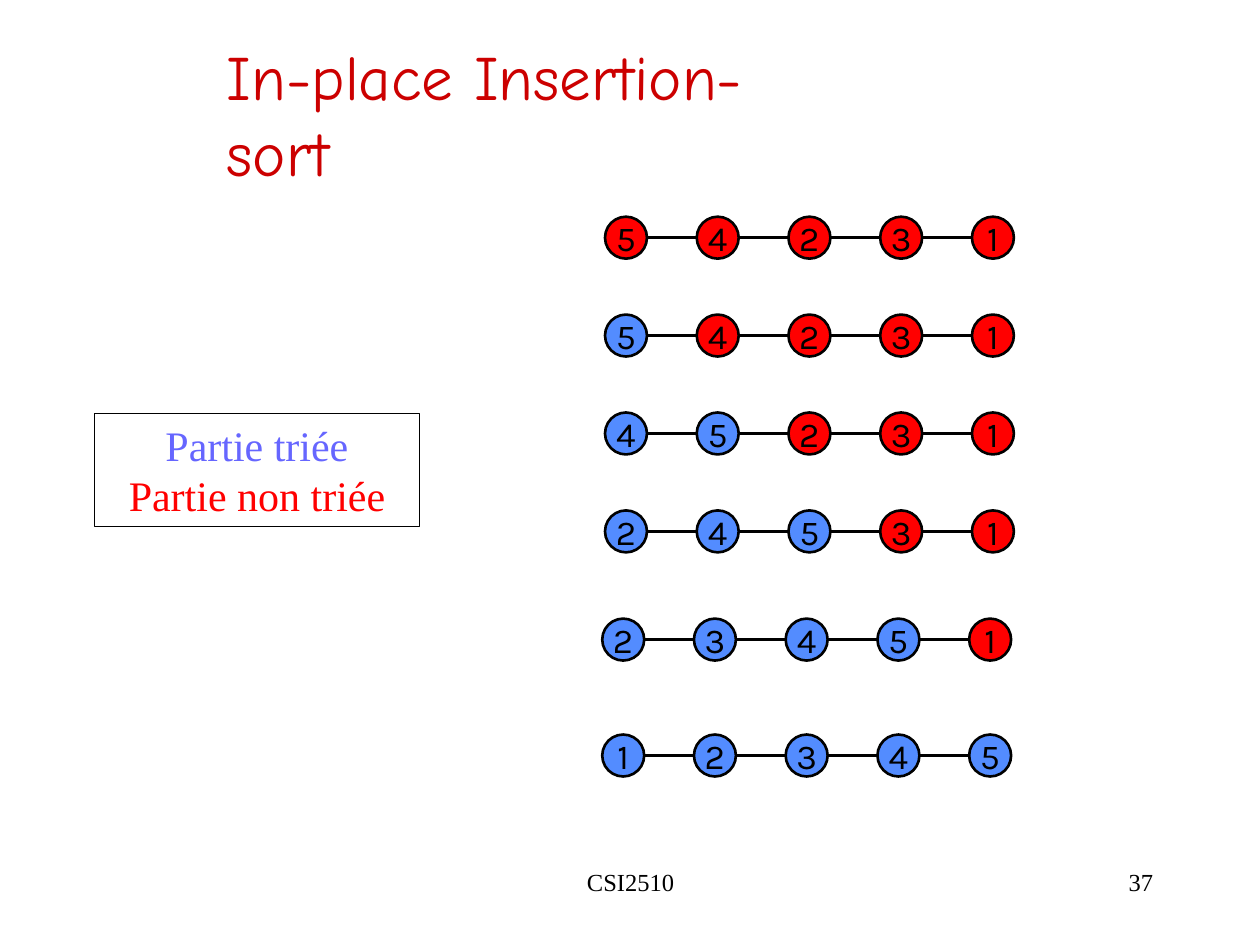
from dataclasses import dataclass

from lxml import etree
from pptx import Presentation
from pptx import util as u
from pptx.dml.color import RGBColor
from pptx.enum import shapes, text
from pptx.oxml.ns import qn
from pptx.shapes.autoshape import Shape

COLORS = {
    "black": "000000",
    "title": "CC0000",
    "unsorted": "FF0000",
    "sorted": "538CFF",
    "sorted_label": "6666FF",
}
COLUMNS, ROWS = 100, 75
NODE_SIZE = 3.33
NODE_PITCH = 7.28
VALUES = [5, 4, 2, 3, 1]

presentation = Presentation()
presentation.slide_width = u.Inches(10)
presentation.slide_height = u.Inches(7.5)
slide = presentation.slides.add_slide(presentation.slide_layouts[5])


@dataclass
class Box:
    column: float
    row: float
    columns: float
    rows: float

    def lengths(self) -> tuple[int, ...]:
        width = presentation.slide_width / COLUMNS
        height = presentation.slide_height / ROWS
        return (round(self.column * width), round(self.row * height),
                round(self.columns * width), round(self.rows * height))


@dataclass
class Label:
    words: str
    font: str
    size: int
    color: str = "black"
    alignment: text.PP_ALIGN = text.PP_ALIGN.CENTER


@dataclass
class Step:
    column: float
    row: float
    sorted_count: int

    def values(self) -> list[int]:
        count = self.sorted_count
        return sorted(VALUES[:count]) + VALUES[count:]


STEPS = [
    Step(48.02, 17.2, 0),
    Step(48.02, 24.97, 1),
    Step(48.02, 32.74, 2),
    Step(48.02, 40.51, 3),
    Step(47.8, 49.1, 4),
    Step(47.8, 58.3, 5),
]


def color(name: str) -> RGBColor:
    return RGBColor.from_string(COLORS[name])


def write(shape: Shape, labels: list[Label], **frame_format) -> None:
    frame = shape.text_frame
    frame_format = {"word_wrap": True, "vertical_anchor": text.MSO_ANCHOR.TOP,
                    "auto_size": text.MSO_AUTO_SIZE.NONE} | frame_format
    for name, value in frame_format.items():
        setattr(frame, name, value)
    for index, label in enumerate(labels):
        paragraph = frame.paragraphs[0] if index == 0 else frame.add_paragraph()
        paragraph.alignment = label.alignment
        run = paragraph.add_run()
        run.text = label.words
        for name, value in {"name": label.font, "size": u.Pt(label.size)}.items():
            setattr(run.font, name, value)
        run.font.color.rgb = color(label.color)


def outlined(kind: shapes.MSO_SHAPE, box: Box, line_width: float, fill: str = "") -> Shape:
    shape = slide.shapes.add_shape(kind, *box.lengths())
    shape.shadow.inherit = False
    if fill:
        shape.fill.solid()
        shape.fill.fore_color.rgb = color(fill)
    else:
        shape.fill.background()
    shape.line.color.rgb = color("black")
    shape.line.width = u.Pt(line_width)
    return shape


def draw_link(column: float, row: float, columns: float) -> None:
    left, top, width, _ = Box(column, row, columns, 0).lengths()
    link = slide.shapes.add_connector(
        shapes.MSO_CONNECTOR.STRAIGHT, left, top, left + width, top)
    link.line.color.rgb = color("black")
    link.line.width = u.Pt(1.5)
    etree.SubElement(link._element.spPr, qn("a:effectLst"))


def draw_step(step: Step) -> None:
    span = NODE_PITCH * (len(VALUES) - 1) - NODE_SIZE
    draw_link(step.column + NODE_SIZE, step.row + NODE_SIZE / 2, span)
    for index, value in enumerate(step.values()):
        fill = "sorted" if index < step.sorted_count else "unsorted"
        box = Box(step.column + index * NODE_PITCH, step.row, NODE_SIZE, NODE_SIZE)
        node = outlined(shapes.MSO_SHAPE.OVAL, box, 1.5, fill)
        write(node, [Label(str(value), "Karla", 20)], word_wrap=False,
              vertical_anchor=text.MSO_ANCHOR.MIDDLE)


def draw_footer(box: Box, words: str, alignment: text.PP_ALIGN) -> None:
    footer = slide.shapes.add_textbox(*box.lengths())
    write(footer, [Label(words, "Times New Roman", 14, alignment=alignment)])


def draw_title(box: Box, words: str) -> None:
    title = slide.shapes.title
    for name, value in zip(("left", "top", "width", "height"), box.lengths()):
        setattr(title, name, value)
    write(title, [Label(words, "Comic Neue", 36, "title", text.PP_ALIGN.LEFT)],
          word_wrap=False)


def draw_legend(box: Box) -> None:
    legend = outlined(shapes.MSO_SHAPE.RECTANGLE, box, 0.75)
    write(legend, [
        Label("Partie triée", "Times New Roman", 24, "sorted_label"),
        Label("Partie non triée", "Times New Roman", 24, "unsorted"),
    ])


def main() -> None:
    draw_title(Box(17, 2.5, 51, 7), "In-place Insertion-sort")
    for step in STEPS:
        draw_step(step)
    draw_legend(Box(7.5, 32.8, 25.8, 9))
    draw_footer(Box(34.2, 68.3, 31.7, 5), "CSI2510", text.PP_ALIGN.CENTER)
    draw_footer(Box(71.7, 68.3, 20.8, 5), "37", text.PP_ALIGN.RIGHT)
    presentation.save("out.pptx")


if __name__ == "__main__":
    main()
